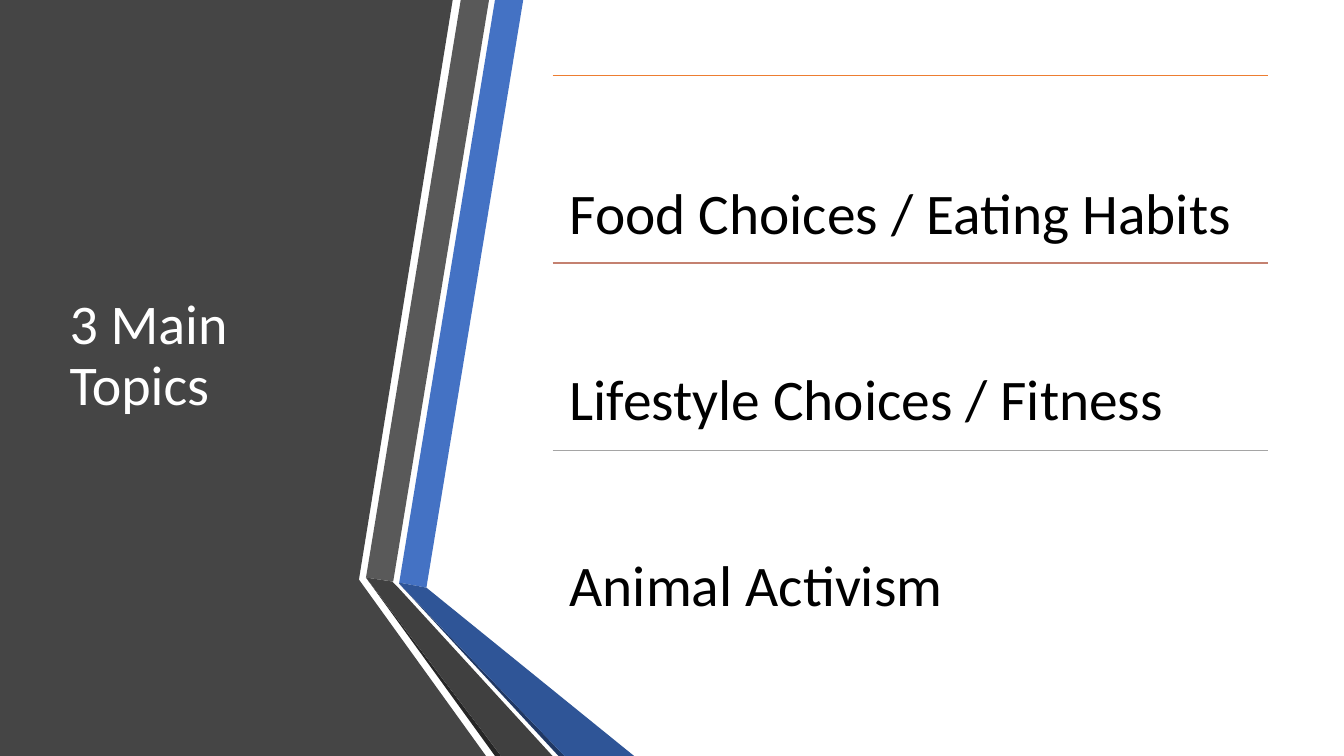
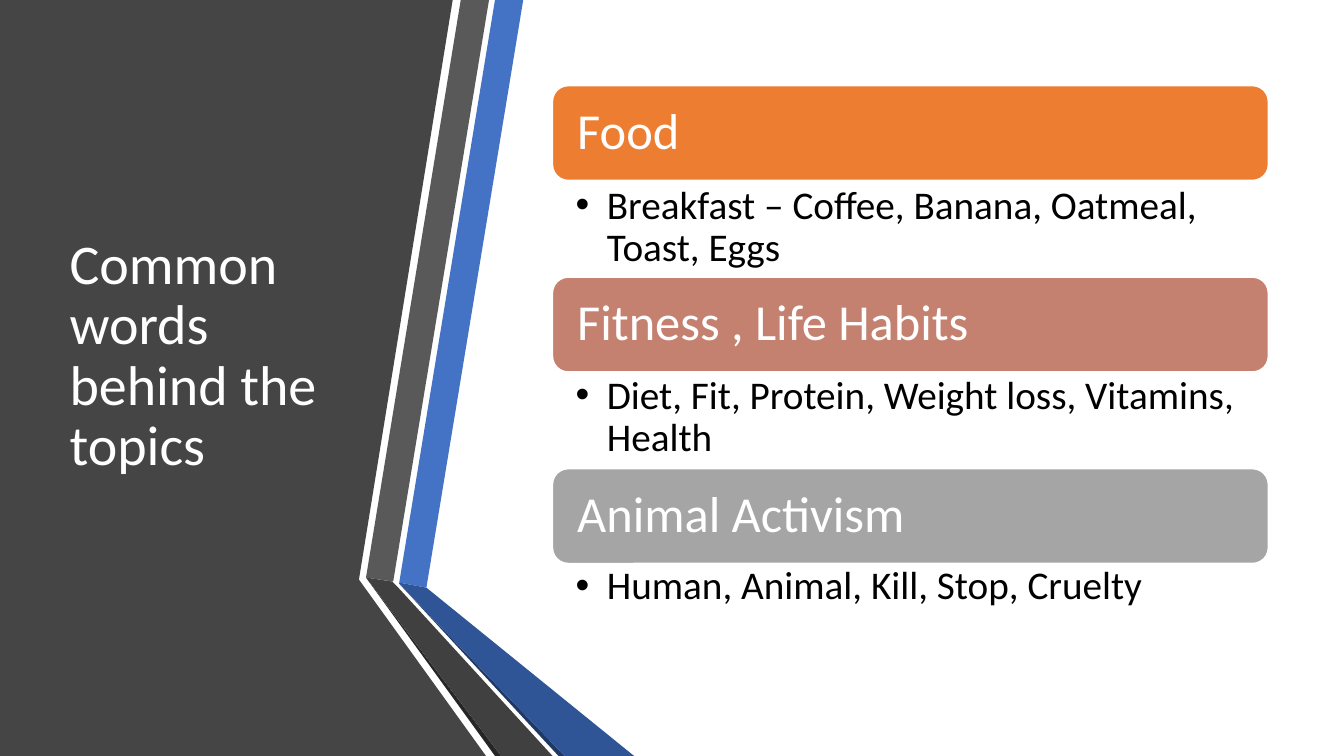
from pptx import Presentation
from pptx.dml.color import RGBColor
from pptx.enum.shapes import MSO_CONNECTOR, MSO_SHAPE as SHAPE
from pptx.enum.text import MSO_ANCHOR as ANCHOR, MSO_AUTO_SIZE as AUTO, PP_ALIGN as ALIGN
from pptx.oxml.ns import qn
from pptx.util import Inches, Pt
from lxml.etree import SubElement

FONT = "Calibri"
TIGHT = 0.9            # line spacing of all text
LINE = 1.22 * TIGHT    # line height per point of text size
COLORS = {
    "white": "FFFFFF", "black": "000000",
    "panel": "454545", "blue": "4472C4", "gray": "595959",
    "soot": "262626", "navy": "203864", "deep": "2F5597", "coal": "404040",
    "orange": "ED7D31", "clay": "C48170", "silver": "A5A5A5",
}
ACCENTS = ("orange", "clay", "silver")

# Grid in inches: title column, content column, shared top and height
TITLE, MAIN = (0.59, 3.04), (5.48, 7.1)
TOP, HIGH = 0.75, 5.58

# Folded ribbon, corners in hundredths of an inch
BANDS = [
    ("panel", [(0, 0), (449, 0), (356, 575), (482, 750), (0, 750)]),
    ("blue", [(396, 578), (423, 583), (519, 0), (491, 0)]),
    ("gray", [(485, 0), (457, 0), (363, 573), (390, 577)]),
    ("soot", [(363, 573), (491, 750), (497, 750)]),
    ("navy", [(396, 579), (554, 750), (560, 750)]),
    ("deep", [(396, 579), (560, 750), (629, 750), (423, 583), (396, 578)]),
    ("coal", [(548, 750), (395, 583), (389, 577), (363, 573), (497, 750)]),
]

TOPICS = ["Food Choices / Eating Habits", "Lifestyle Choices / Fitness",
          "Animal Activism"]
HEADS = ["Food", "Fitness , Life Habits", "Animal Activism"]
WORDS = ["Breakfast – Coffee, Banana, Oatmeal, Toast, Eggs",
         "Diet, Fit, Protein, Weight loss, Vitamins, Health",
         "Human, Animal, Kill, Stop, Cruelty"]


def rgb(name):
    return RGBColor.from_string(COLORS[name])


def place(shape, left, top, width, high):
    shape.left, shape.top = Inches(left), Inches(top)
    shape.width, shape.height = Inches(width), Inches(high)


def style(para, size, color):
    para.alignment, para.line_spacing = ALIGN.LEFT, TIGHT
    for run in para.runs:
        font = run.font
        font.name, font.size, font.color.rgb = FONT, Pt(size), rgb(color)


def paint(shape, fill, edge=None):
    shape.shadow.inherit = False
    shape.fill.solid()
    shape.fill.fore_color.rgb = rgb(fill)
    if edge:
        shape.line.color.rgb, shape.line.width = rgb(edge), Pt(1)
    else:
        shape.line.fill.background()


def ribbon(layout, slide):
    """Draw the bands once and hand them to the shared layout."""
    for i, (color, pts) in enumerate(BANDS):
        pen = slide.shapes.build_freeform(*pts[0], scale=Inches(0.01))
        pen.add_line_segments(pts[1:], close=True)
        band = pen.convert_to_shape()
        paint(band, color)
        band.element.nvSpPr.cNvPr.set("id", str(20 + i))
        layout.shapes.element.insert(2 + i, band.element)


def title(slide, text):
    shape = slide.shapes.title
    place(shape, TITLE[0], TOP, TITLE[1], HIGH)
    frame = shape.text_frame
    frame.text = text
    frame.auto_size, frame.vertical_anchor = AUTO.NONE, ANCHOR.MIDDLE
    style(frame.paragraphs[0], 40, "white")


def body(slide, items, size, top, pitch, rows=1, pad=0.17, bullet=False):
    """Fill the list; items start one pitch apart, each rows lines tall."""
    shape = slide.placeholders[1]
    place(shape, MAIN[0], top, MAIN[1], TOP + HIGH - top)
    frame = shape.text_frame
    frame.text = "\n".join(items)
    frame.auto_size, frame.vertical_anchor = AUTO.NONE, ANCHOR.TOP
    frame.margin_left = frame.margin_right = Inches(pad)
    frame.margin_top = frame.margin_bottom = 0
    dent = Inches(0.31) if bullet else 0
    for i, para in enumerate(frame.paragraphs):
        props = para._p.get_or_add_pPr()
        props.set("marL", str(dent))
        props.set("indent", str(-dent))
        if bullet:
            SubElement(props, qn("a:buChar")).set("char", "•")
        else:
            SubElement(props, qn("a:buNone"))
        gap = pitch * 72 - rows * size * LINE
        para.space_before = Pt(gap if i else 0)
        para.space_after = Pt(0)
        style(para, size, "black")


def rule(slide, top, color):
    left, width = MAIN
    line = slide.shapes.add_connector(
        MSO_CONNECTOR.STRAIGHT, Inches(left), Inches(top),
        Inches(left + width), Inches(top))
    line.line.color.rgb, line.line.width = rgb(color), Pt(1)
    SubElement(line.element.spPr, qn("a:effectLst"))


def head(slide, top, text, color):
    left, width = MAIN
    bar = slide.shapes.add_shape(SHAPE.ROUNDED_RECTANGLE, Inches(left),
                                 Inches(top), Inches(width), Inches(0.94))
    paint(bar, color, "white")
    frame = bar.text_frame
    frame.text = text
    frame.word_wrap, frame.vertical_anchor = True, ANCHOR.MIDDLE
    frame.margin_left = frame.margin_right = Inches(0.2)
    style(frame.paragraphs[0], 36, "white")


def main():
    deck = Presentation()
    deck.slide_width, deck.slide_height = Inches(13.33), Inches(7.5)
    layout = deck.slide_layouts[1]

    # Topics between thin rules
    slide = deck.slides.add_slide(layout)
    ribbon(layout, slide)
    title(slide, "3 Main Topics")
    pitch = HIGH / len(TOPICS)
    for i, color in enumerate(ACCENTS):
        rule(slide, TOP + i * pitch, color)
    body(slide, TOPICS, 41, 1.83, pitch)

    # Word lists under coloured heads
    slide = deck.slides.add_slide(layout)
    title(slide, "Common words behind the topics")
    pitch = 1.9
    for i, (text, color) in enumerate(zip(HEADS, ACCENTS)):
        head(slide, 0.85 + i * pitch, text, color)
    body(slide, WORDS, 28, 1.84, pitch, rows=2, pad=0.23, bullet=True)

    deck.save("out.pptx")


if __name__ == "__main__":
    main()
